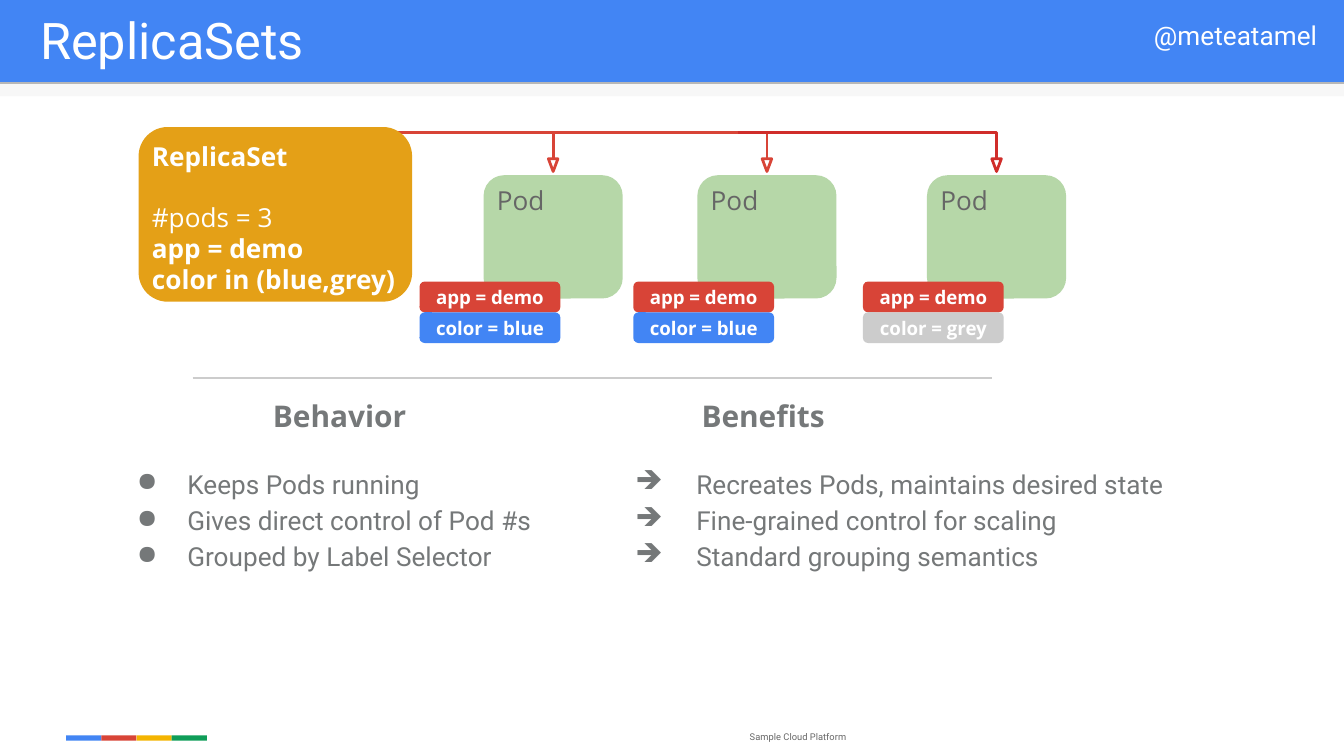
from collections import namedtuple
from dataclasses import dataclass

from lxml.etree import SubElement
from pptx import Presentation
from pptx.dml.color import RGBColor
from pptx.enum.shapes import MSO_CONNECTOR as Connector, MSO_SHAPE as Preset
from pptx.enum.text import MSO_ANCHOR as Anchor, MSO_AUTO_SIZE as AutoSize, PP_ALIGN as Align
from pptx.oxml.ns import qn
from pptx.util import Cm, Pt

Box = namedtuple("Box", "left top width height")
Style = namedtuple("Style", "font size color bold", defaults=(False,))


@dataclass(frozen=True)
class Theme:
    blue: str = "4285F4"
    red: str = "D84437"
    dark_red: str = "D02D2A"
    yellow: str = "F4B400"
    green: str = "0F9D58"
    orange: str = "E4A017"
    pod: str = "B6D7A8"
    grey: str = "CCCCCC"
    band: str = "F7F7F7"
    hairline: str = "B7B7B7"
    title: Style = Style("Roboto", 27, "FFFFFF")
    handle: Style = Style("Roboto", 14, "FFFFFF")
    footer: Style = Style("Roboto", 5, "666666")
    body: Style = Style("Roboto", 14, "757879")
    heading: Style = Style("Open Sans", 16, "757879", True)
    pod_name: Style = Style("Open Sans", 14, "666666")
    selector: Style = Style("Open Sans", 14, "FFFFFF")
    selector_bold: Style = Style("Open Sans", 14, "FFFFFF", True)
    label: Style = Style("Open Sans", 10, "FFFFFF", True)


THEME = Theme()


def rgb(value):
    return RGBColor.from_string(value)


def add_run(paragraph, text, style):
    run = paragraph.add_run()
    run.text = text
    run.font.name = style.font
    run.font.size = Pt(style.size)
    run.font.bold = style.bold
    run.font.color.rgb = rgb(style.color)


def write_lines(shape, lines, inset=(0, 0), anchor=Anchor.TOP, align=Align.LEFT):
    """Write (text, style) lines, one paragraph each, and return the paragraphs."""
    frame = shape.text_frame
    frame.word_wrap = True
    frame.auto_size = AutoSize.NONE
    frame.vertical_anchor = anchor
    frame.margin_left, frame.margin_top = map(Cm, inset)
    frame.margin_right = frame.margin_bottom = 0
    for index, (text, style) in enumerate(lines):
        paragraph = frame.add_paragraph() if index else frame.paragraphs[0]
        paragraph.alignment = align
        add_run(paragraph, text, style)
    return frame.paragraphs


def add_text(slide, box, *lines):
    return write_lines(slide.shapes.add_textbox(*map(Cm, box)), lines)


def add_block(slide, box, color, preset=Preset.RECTANGLE):
    shape = slide.shapes.add_shape(preset, *map(Cm, box))
    shape.shadow.inherit = False
    shape.fill.solid()
    shape.fill.fore_color.rgb = rgb(color)
    shape.line.fill.background()
    return shape


def add_rule(slide, left, right, y, color, weight):
    rule = slide.shapes.add_connector(Connector.STRAIGHT, Cm(left), Cm(y), Cm(right), Cm(y))
    rule.line.color.rgb = rgb(color)
    rule.line.width = Pt(weight)
    SubElement(rule.element.spPr, qn("a:effectLst"))


def add_header(slide, box, title_text, handle):
    add_block(slide, box, THEME.blue)
    bottom = box.top + box.height
    add_block(slide, Box(box.left, bottom, box.width, 0.25), THEME.band)
    add_rule(slide, box.left, box.left + box.width, bottom, THEME.hairline, 0.75)
    title = slide.shapes.title
    title.left, title.top = Cm(box.left + 0.76), Cm(box.top + 0.18)
    title.width, title.height = Cm(16.4), Cm(1.2)
    write_lines(title, [(title_text, THEME.title)])
    title.element.getparent().append(title.element)  # in front of the band
    add_text(slide, Box(box.left + 21.81, box.top + 0.36, 3.3, 0.66), (handle, THEME.handle))


def add_footer(slide, box, text):
    colors = (THEME.blue, THEME.red, THEME.yellow, THEME.green)
    width = box.width / len(colors)
    for index, color in enumerate(colors):
        add_block(slide, Box(box.left + index * width, box.top, width, box.height), color)
    add_text(slide, Box(14.17, box.top - 0.07, 2.4, 0.3), (text, THEME.footer))


def add_arrow(slide, start, tip, color):
    """Draw an elbow from start across and down to tip, with an open head."""
    head_width, head_height = 0.18, 0.24
    neck = tip[1] - head_height
    builder = slide.shapes.build_freeform(Cm(start[0]), Cm(start[1]))
    builder.add_line_segments(
        [(Cm(tip[0]), Cm(start[1])), (Cm(tip[0]), Cm(neck))], close=False)
    head = slide.shapes.add_shape(
        Preset.FLOWCHART_MERGE,
        *map(Cm, (tip[0] - head_width / 2, neck, head_width, head_height)))
    for shape in (builder.convert_to_shape(), head):
        shape.shadow.inherit = False
        shape.fill.background()
        shape.line.color.rgb = rgb(color)
        shape.line.width = Pt(1.5)


def add_pod(slide, box, labels):
    pod = add_block(slide, box, THEME.pod, Preset.ROUNDED_RECTANGLE)
    write_lines(pod, [("Pod", THEME.pod_name)], inset=(0.14, 0.06))
    for index, (text, color) in enumerate(labels):
        label_box = Box(box.left - 1.21, box.top + 2.01 + index * 0.58, 2.66, 0.58)
        label = add_block(slide, label_box, color, Preset.ROUNDED_RECTANGLE)
        write_lines(label, [(text, THEME.label)], anchor=Anchor.MIDDLE, align=Align.CENTER)


def add_replica_set(slide, box):
    shape = add_block(slide, box, THEME.orange, Preset.ROUNDED_RECTANGLE)
    paragraphs = write_lines(shape, [
        ("ReplicaSet", THEME.selector_bold),
        ("#pods = 3", THEME.selector),
        ("app = demo", THEME.selector_bold),
        ("color in (blue,grey)", THEME.selector_bold),
    ], inset=(0.09, 0.09))
    for paragraph in paragraphs[1:]:
        paragraph.line_spacing = Pt(16.6)
    paragraphs[1].space_before = Pt(16.2)


def add_diagram(slide, box):
    app = ("app = demo", THEME.red)
    blue = ("color = blue", THEME.blue)
    grey = ("color = grey", THEME.grey)
    pods = [  # pod left, arrow start, arrow colour, second label
        (9.14, 7.34, THEME.red, blue),
        (13.18, 7.34, THEME.red, blue),
        (17.52, 13.94, THEME.dark_red, grey),
    ]
    for left, start, color, second in pods:
        pod_box = Box(left, box.top + 0.91, 2.63, 2.33)
        tip = (left + pod_box.width / 2, pod_box.top - 0.07)
        add_arrow(slide, (start, box.top + 0.1), tip, color)
        add_pod(slide, pod_box, (app, second))
    add_replica_set(slide, Box(box.left, box.top, 5.17, box.height))


def add_list_column(slide, box, heading, heading_left, bullet, indent, items):
    add_text(slide, Box(heading_left, box.top, 2.9, 0.74), (heading, THEME.heading))
    list_box = Box(box.left, box.top + 1.32, box.width, box.height - 1.32)
    paragraphs = add_text(slide, list_box, *((item, THEME.body) for item in items))
    for index, paragraph in enumerate(paragraphs):
        properties = paragraph._p.get_or_add_pPr()
        properties.set("marL", str(Cm(indent)))
        properties.set("indent", str(-Cm(indent - 0.02)))
        SubElement(properties, qn("a:buChar"), char=bullet)
        if index:
            paragraph.space_before = Pt(2.6)


def main():
    presentation = Presentation()
    presentation.slide_width, presentation.slide_height = Cm(25.4), Cm(14.28)
    slide = presentation.slides.add_slide(presentation.slide_layouts[5])
    add_footer(slide, Box(1.25, 13.89, 2.66, 0.1), "Sample Cloud Platform")
    add_header(slide, Box(0, 0, 25.4, 1.57), "ReplicaSets", "@meteatamel")
    add_diagram(slide, Box(2.62, 2.4, 17.53, 3.3))
    add_rule(slide, 3.64, 18.75, 7.14, THEME.grey, 1.5)
    add_list_column(slide, Box(2.57, 7.52, 7.8, 3.3), "Behavior", 5.16, "●", 0.97, [
        "Keeps Pods running",
        "Gives direct control of Pod #s",
        "Grouped by Label Selector",
    ])
    add_list_column(slide, Box(11.99, 7.52, 10.3, 3.3), "Benefits", 13.26, "➔", 1.17, [
        "Recreates Pods, maintains desired state",
        "Fine-grained control for scaling",
        "Standard grouping semantics",
    ])
    presentation.save("out.pptx")


if __name__ == "__main__":
    main()
